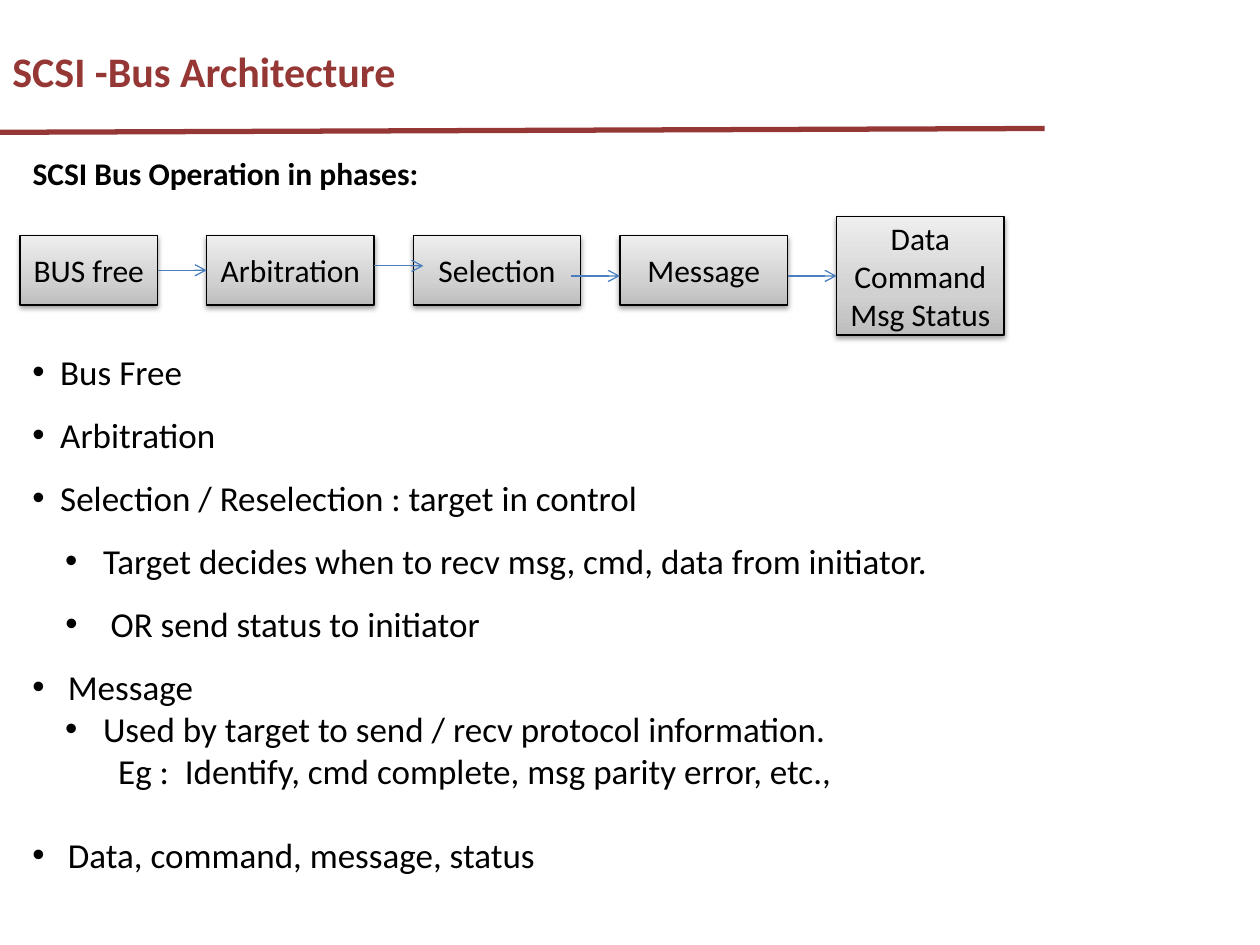
from dataclasses import dataclass
from typing import Optional

from lxml import etree
from pptx import Presentation
from pptx.dml.color import RGBColor
from pptx.enum.shapes import MSO_CONNECTOR as Conn, MSO_SHAPE as Shape
from pptx.enum.text import MSO_ANCHOR as Anchor, MSO_AUTO_SIZE as AutoSize, PP_ALIGN as Align
from pptx.oxml import parse_xml
from pptx.oxml.ns import nsdecls, qn
from pptx.util import Inches, Pt


@dataclass(frozen=True)
class Theme:
    font: str = "Calibri"
    accent: str = "953735"
    ink: str = "000000"
    arrow: str = "4B7EBC"
    gradient: tuple = ((0, "BDBDBD"), (35, "D1D1D1"), (100, "EEEEEE"))
    title: int = 24
    label: int = 18
    body: int = 20


@dataclass(frozen=True)
class Phase:
    text: str
    left: float
    width: float = 1.33
    top: float = 1.87
    height: float = 0.55


@dataclass(frozen=True)
class Arrow:
    x: float
    y: float
    source: Optional[int] = None
    target: Optional[int] = None


@dataclass(frozen=True)
class Item:
    text: str
    indent: float
    bullet_at: Optional[float] = 0
    level: int = 0
    spacing: float = 1.0
    before: int = 0


THEME = Theme()
ARROW_LENGTH = 0.39
SUB_BULLET = 0.26

PHASES = [
    Phase("BUS free", 0.16, width=1.09),
    Phase("Arbitration", 1.64),
    Phase("Selection", 3.28),
    Phase("Message", 4.92),
    Phase("Data Command Msg Status", 6.64, top=1.72, height=0.94),
]
ARROWS = [
    Arrow(1.25, 2.15, source=0, target=1),
    Arrow(2.97, 2.11),
    Arrow(4.53, 2.19),
    Arrow(6.25, 2.19, target=4),
]
ITEMS = [
    Item("Bus Free", 0.22),
    Item("Arbitration", 0.22, spacing=1.5),
    Item("Selection / Reselection : target in control", 0.22, spacing=1.5),
    Item("Target decides when to recv msg, cmd, data from initiator.", 0.56, SUB_BULLET, 1, 1.5),
    Item("OR send status to initiator", 0.62, SUB_BULLET, 1, 1.5),
    Item("Message", 0.28, spacing=1.5),
    Item("Used by target to send / recv protocol information.", 0.56, SUB_BULLET, 1),
    Item("Eg :  Identify, cmd complete, msg parity error, etc.,", 0.68, None, 1),
    Item("Data, command, message, status", 0.28, before=24),
]


def write(p, text: str, *, size: int, color: str = THEME.ink, bold: bool = False) -> None:
    r = p.add_run()
    r.text = text
    r.font.name, r.font.size, r.font.bold = THEME.font, Pt(size), bold
    r.font.color.rgb = RGBColor.from_string(color)


def add_text_frame(s, left: float, top: float, width: float, height: float, wrap: bool = False):
    tf = s.shapes.add_textbox(Inches(left), Inches(top), Inches(width), Inches(height)).text_frame
    tf.word_wrap = wrap
    tf.auto_size = AutoSize.SHAPE_TO_FIT_TEXT
    return tf


def add_item(p, item: Item) -> None:
    p.level, p.line_spacing = item.level, item.spacing
    p.space_before = Pt(item.before)
    pPr = p._p.get_or_add_pPr()
    start = item.indent if item.bullet_at is None else item.bullet_at
    pPr.set("marL", str(Inches(item.indent)))
    pPr.set("indent", str(Inches(start - item.indent)))
    if item.bullet_at is not None:
        etree.SubElement(pPr, qn("a:buFont"), typeface="Arial")
        etree.SubElement(pPr, qn("a:buChar"), char="•")
    write(p, item.text, size=THEME.body)


def add_phase(s, phase: Phase):
    sp = s.shapes.add_shape(Shape.RECTANGLE, Inches(phase.left), Inches(phase.top),
                            Inches(phase.width), Inches(phase.height))
    sp.line.color.rgb = RGBColor.from_string(THEME.ink)
    sp.line.width = Pt(0.75)
    # Gradient rises from dark at the bottom to light at the top
    stops = "".join(f'<a:gs pos="{pos * 1000}"><a:srgbClr val="{color}"/></a:gs>'
                    for pos, color in THEME.gradient)
    sp.line._ln.addprevious(parse_xml(
        f'<a:gradFill {nsdecls("a")} rotWithShape="1"><a:gsLst>{stops}</a:gsLst>'
        '<a:lin ang="16200000" scaled="0"/></a:gradFill>'))
    sp.line._ln.addnext(parse_xml(
        f'<a:effectLst {nsdecls("a")}><a:outerShdw blurRad="{Pt(3.1)}" dist="{Pt(1.6)}" '
        f'dir="5400000" rotWithShape="0"><a:srgbClr val="{THEME.ink}">'
        '<a:alpha val="38000"/></a:srgbClr></a:outerShdw></a:effectLst>'))
    tf = sp.text_frame
    tf.word_wrap, tf.vertical_anchor = True, Anchor.MIDDLE
    p = tf.paragraphs[0]
    p.alignment = Align.CENTER
    write(p, phase.text, size=THEME.label)
    return sp


def add_line(s, x1: float, y1: float, x2: float, y2: float, *,
             color: str, width: float, arrow: bool = False):
    line = s.shapes.add_connector(Conn.STRAIGHT, Inches(x1), Inches(y1), Inches(x2), Inches(y2))
    line.line.color.rgb = RGBColor.from_string(color)
    line.line.width = Pt(width)
    if arrow:
        etree.SubElement(line.line._ln, qn("a:tailEnd"), type="arrow")
    etree.SubElement(line._element.spPr, qn("a:effectLst"))
    return line


def main() -> None:
    prs = Presentation()
    prs.slide_width, prs.slide_height = Inches(10), Inches(7.5)
    s = prs.slides.add_slide(prs.slide_layouts[6])

    # Title and rule
    tf = add_text_frame(s, 0, 0.31, 8.59, 0.5, wrap=True)
    write(tf.paragraphs[0], "SCSI -Bus Architecture",
          size=THEME.title, color=THEME.accent, bold=True)
    add_line(s, 0, 1.05, 8.29, 1.02, color=THEME.accent, width=3)

    # Explanation of the phases
    tf = add_text_frame(s, 0.16, 2.73, 7.47, 4.31)
    for i, item in enumerate(ITEMS):
        add_item(tf.add_paragraph() if i else tf.paragraphs[0], item)

    # Phase flow
    boxes = [add_phase(s, phase) for phase in PHASES]
    for a in ARROWS:
        line = add_line(s, a.x, a.y, a.x + ARROW_LENGTH, a.y,
                        color=THEME.arrow, width=0.75, arrow=True)
        if a.source is not None:
            line.begin_connect(boxes[a.source], 3)
        if a.target is not None:
            line.end_connect(boxes[a.target], 1)

    # Flow heading
    tf = add_text_frame(s, 0.16, 1.17, 3.29, 0.4)
    write(tf.paragraphs[0], "SCSI Bus Operation in phases:", size=THEME.label, bold=True)

    prs.save("out.pptx")


if __name__ == "__main__":
    main()
